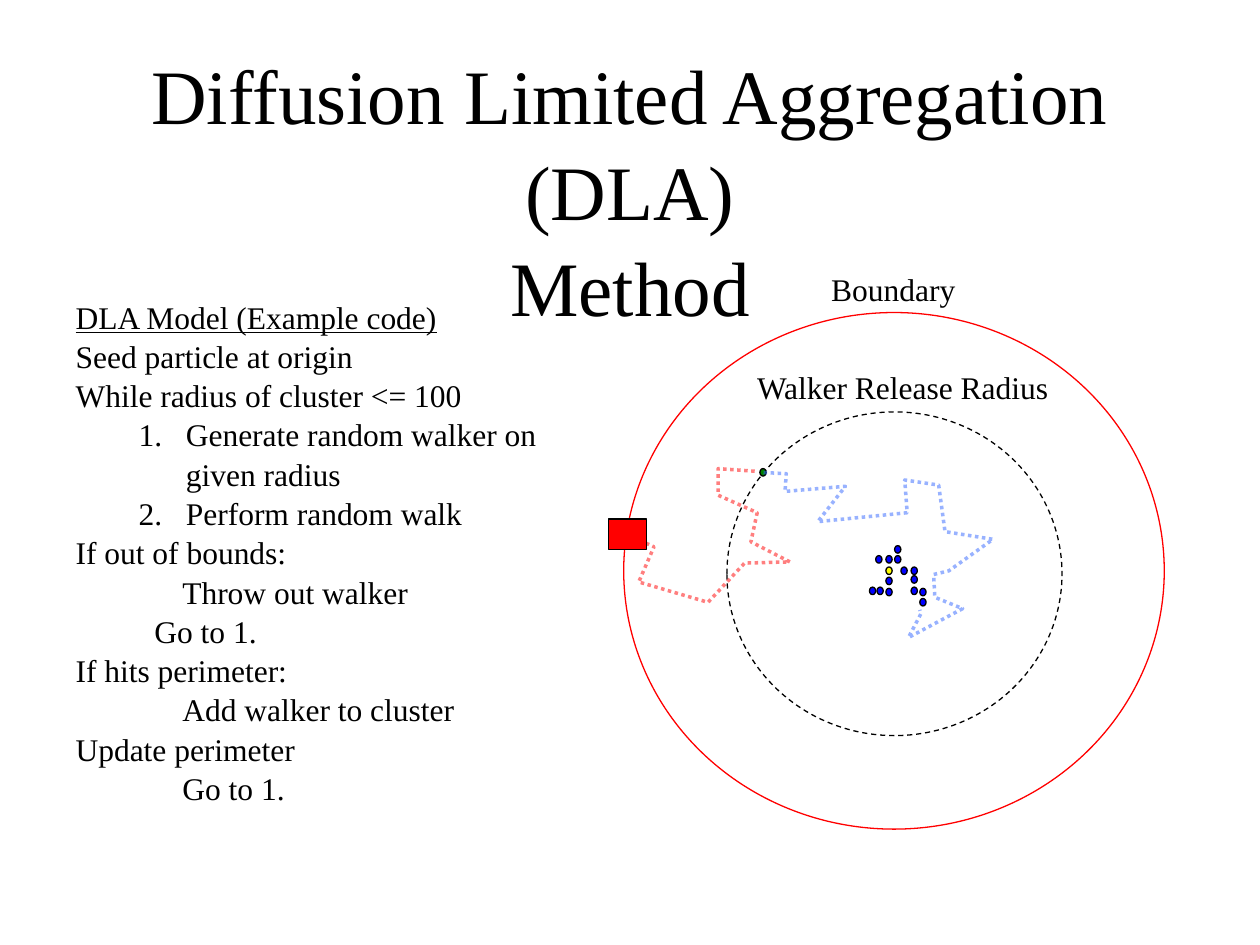
import pptx
import pptx.util
import pptx.dml.color
import pptx.enum.dml
import pptx.enum.shapes
import pptx.enum.text
import pptx.oxml.ns
from lxml import etree

Pt = pptx.util.Pt
MSO_SHAPE = pptx.enum.shapes.MSO_SHAPE
MSO_LINE = pptx.enum.dml.MSO_LINE
ALIGN = pptx.enum.text.PP_ALIGN
qn = pptx.oxml.ns.qn

COLORS = {
    "text": "000000", "outline": "000000", "boundary": "FF0000",
    "seed": "FFFF00", "cluster": "0000FF", "walker": "008000",
    "hit_walk": "3366FF", "lost_walk": "FF0000",
}
PARTICLE = (3.6, 4.3)
LINE_SPACING = 1.04

# Code listing: text, kind of line
CODE = [
    ("DLA Model (Example code)", "heading"),
    ("Seed particle at origin", "plain"),
    ("While radius of cluster <= 100", "plain"),
    ("Generate random walker on given radius", "step"),
    ("Perform random walk", "step"),
    ("If out of bounds:", "plain"),
    ("Throw out walker", "deep"),
    ("Go to 1.", "shallow"),
    ("If hits perimeter:", "plain"),
    ("Add walker to cluster", "deep"),
    ("Update perimeter", "plain"),
    ("Go to 1.", "deep"),
]
# Left margin and first-line indent of each kind of line
INDENTS = {"heading": (0, 0), "plain": (0, 0), "step": (63, -27),
           "deep": (61, 0), "shallow": (45, 0)}

# Left and top of each particle stuck to the seed
CLUSTER = [
    (511.2, 311.8), (506.2, 317.5), (511.2, 317.5), (514.8, 324),
    (520.6, 324), (520.6, 335.5), (520.6, 329), (525.6, 336.2),
    (500.4, 317.5), (525.6, 342), (506.2, 329.8), (506.2, 336.2),
    (501.1, 335.5), (496.8, 335.5),
]
HIT_WALK = [
    (436.3, 270), (449.3, 270.7), (448.6, 280.8), (483.1, 277.9),
    (467.3, 298.1), (518.4, 293), (517, 274.3), (536.4, 277.2),
    (540, 303.8), (567.4, 308.2), (542.2, 326.2), (533.5, 328.3),
    (534.2, 341.3), (550.1, 347.8), (519.1, 364.3), (526.3, 350.6),
    (525.6, 348.5),
]
LOST_WALK = [
    (431.3, 269.3), (410.4, 267.8), (410.4, 283), (432.7, 293),
    (429.1, 309.6), (451.4, 321.1), (425.5, 321.8), (404.6, 344.2),
    (365, 332.6), (373.7, 312.5), (356.4, 304.6),
]


def rgb(name):
    return pptx.dml.color.RGBColor.from_string(COLORS[name])


def set_attrs(obj, values):
    for name, value in values.items():
        setattr(obj, name, value)


def place(sp, left, top, width, height):
    set_attrs(sp, {"left": Pt(left), "top": Pt(top),
                   "width": Pt(width), "height": Pt(height)})


def set_frame(tf):
    set_attrs(tf, {"word_wrap": True,
                   "auto_size": pptx.enum.text.MSO_AUTO_SIZE.NONE,
                   "vertical_anchor": pptx.enum.text.MSO_ANCHOR.TOP})


def write(p, text, size, align, underline=False):
    set_attrs(p, {"alignment": align, "line_spacing": LINE_SPACING,
                  "space_before": Pt(0), "space_after": Pt(0)})
    p.text = text
    for r in p.runs:
        set_attrs(r.font, {"name": "Times New Roman", "size": Pt(size),
                           "underline": underline})
        r.font.color.rgb = rgb("text")


def set_indent(p, left, first, numbered):
    pPr = p._p.get_or_add_pPr()
    pPr.set("marL", str(Pt(left)))
    pPr.set("indent", str(Pt(first)))
    if numbered:
        etree.SubElement(pPr, qn("a:buFont"), typeface="Times New Roman")
        etree.SubElement(pPr, qn("a:buAutoNum"), type="arabicPeriod")
    else:
        etree.SubElement(pPr, qn("a:buNone"))


def fill_title(sp):
    place(sp, 36, 21.6, 648, 90)
    set_frame(sp.text_frame)
    write(sp.text_frame.paragraphs[0],
          "Diffusion Limited Aggregation (DLA)\vMethod", 44, ALIGN.CENTER)


def fill_code(sp):
    place(sp, 36, 165.6, 286, 309.6)
    tf = sp.text_frame
    set_frame(tf)
    for i, (text, kind) in enumerate(CODE):
        p = tf.add_paragraph() if i else tf.paragraphs[0]
        p.level = 1 if kind == "step" else 0
        write(p, text, 18, ALIGN.LEFT, kind == "heading")
        set_indent(p, *INDENTS[kind], kind == "step")


def add_label(s, text, left, top, width):
    sp = s.shapes.add_textbox(Pt(left), Pt(top), Pt(width), Pt(28.8))
    set_frame(sp.text_frame)
    write(sp.text_frame.paragraphs[0], text, 18, ALIGN.CENTER)


def style(sp, line, fill=None, width=0.75, dash=None):
    sp.shadow.inherit = False
    if fill:
        sp.fill.solid()
        sp.fill.fore_color.rgb = rgb(fill)
    else:
        sp.fill.background()
    set_attrs(sp.line, {"width": Pt(width), "dash_style": dash})
    sp.line.color.rgb = rgb(line)


def add_preset(s, kind, box, line, **formats):
    sp = s.shapes.add_shape(kind, *map(Pt, box))
    style(sp, line, **formats)


def add_particle(s, left, top, color):
    add_preset(s, MSO_SHAPE.OVAL, (left, top, *PARTICLE), "outline", fill=color)


def add_walk(s, points, color):
    start, *rest = [(Pt(x), Pt(y)) for x, y in points]
    builder = s.shapes.build_freeform(*start)
    builder.add_line_segments(rest, close=False)
    sp = builder.convert_to_shape()
    style(sp, color, width=2, dash=MSO_LINE.ROUND_DOT)
    clr = sp.line._ln.find(".//" + qn("a:srgbClr"))
    etree.SubElement(clr, qn("a:alpha"), val="50000")


def main():
    prs = pptx.Presentation()
    set_attrs(prs, {"slide_width": Pt(720), "slide_height": Pt(540)})
    s = prs.slides.add_slide(prs.slide_layouts[1])
    fill_title(s.shapes.title)

    # Boundary and release circles with their labels
    add_preset(s, MSO_SHAPE.OVAL, (356.4, 178.6, 308.9, 295.2), "boundary")
    add_preset(s, MSO_SHAPE.OVAL, (415.4, 235.4, 191.5, 185), "outline",
               dash=MSO_LINE.DASH)
    add_label(s, "Boundary", 438.5, 149.8, 144)
    add_label(s, "Walker Release Radius", 415.4, 206, 200.9)

    # Seed, cluster and released walker
    add_particle(s, 506.2, 324, "seed")
    for left, top in CLUSTER:
        add_particle(s, left, top, "cluster")
    add_particle(s, 434.2, 267.8, "walker")

    # Random walks: one joins the cluster, one leaves the boundary
    add_walk(s, HIT_WALK, "hit_walk")
    add_walk(s, LOST_WALK, "lost_walk")
    add_preset(s, MSO_SHAPE.RECTANGLE, (347.8, 296.6, 21.6, 17.3), "outline",
               fill="boundary")

    fill_code(s.placeholders[1])
    prs.save("out.pptx")


if __name__ == "__main__":
    main()
